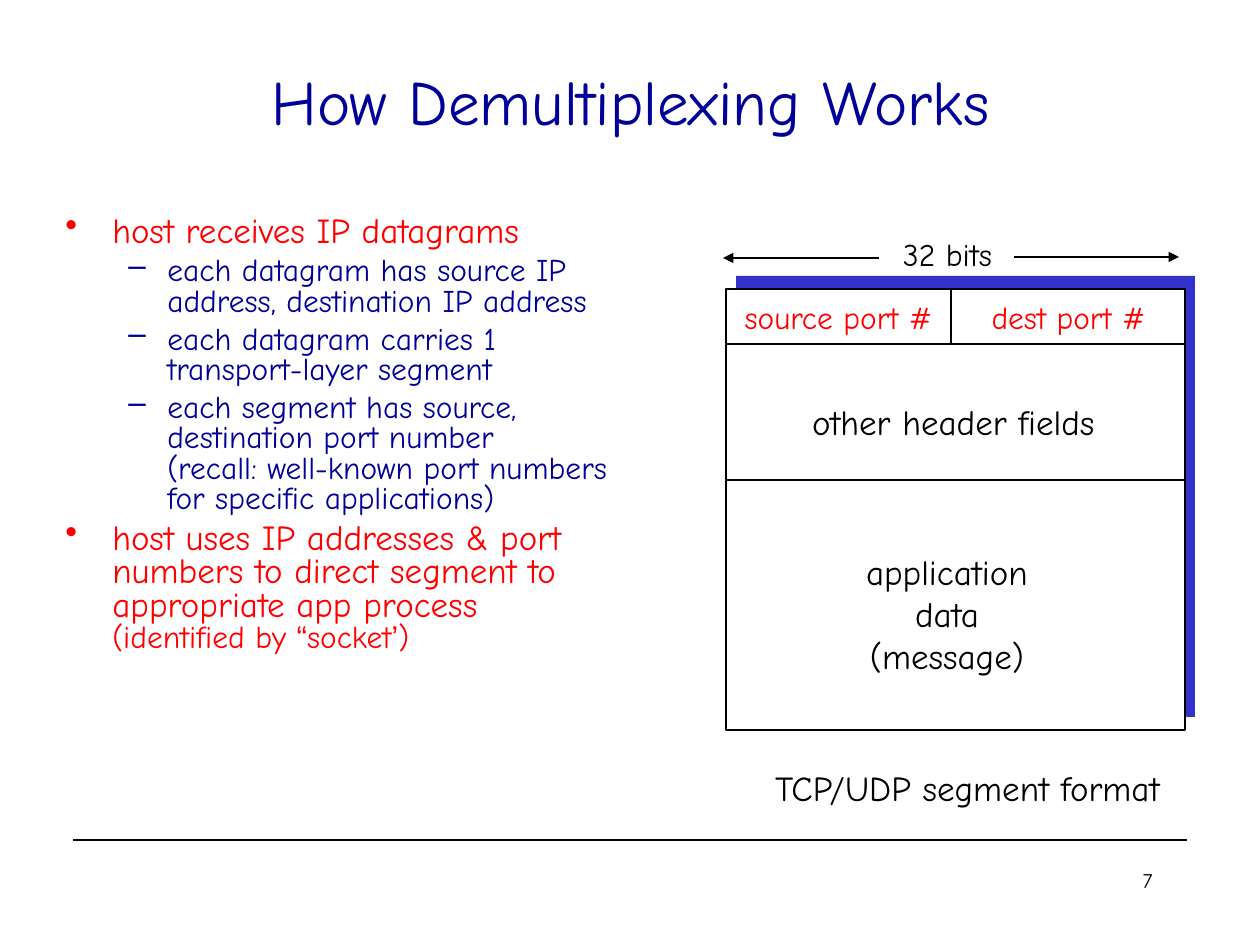
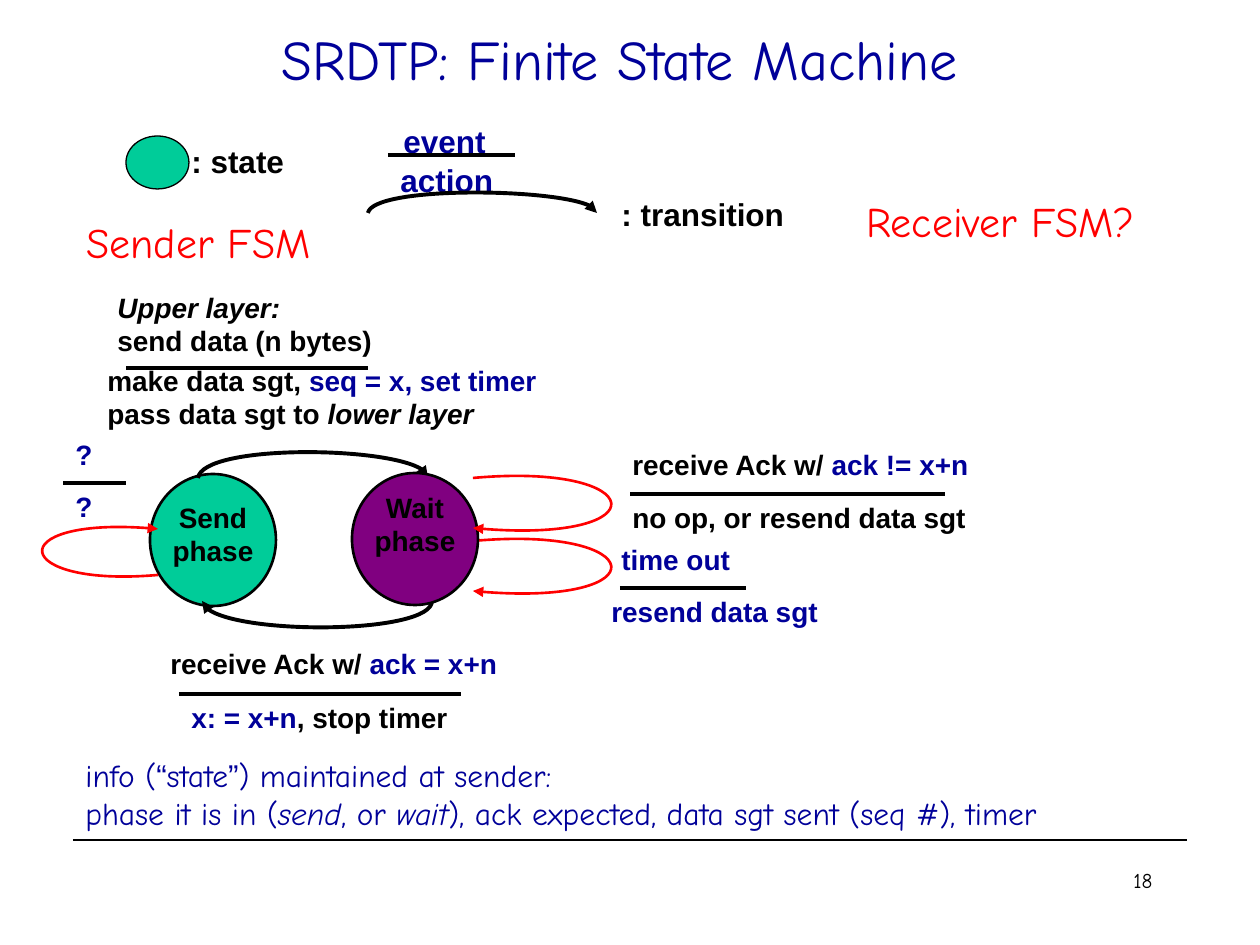
from lxml.etree import SubElement
from pptx import Presentation
from pptx.dml.color import RGBColor
from pptx.enum.shapes import MSO_CONNECTOR as CONN, MSO_SHAPE as SHAPE
from pptx.enum.text import MSO_ANCHOR as ANCHOR, MSO_AUTO_SIZE as FIT, PP_ALIGN as ALIGN
from pptx.oxml.ns import qn
from pptx.util import Emu, Pt

SCALE = 914400 / 126
COLORS = {"black": "000000", "white": "FFFFFF", "navy": "000099", "red": "FF0000",
          "shade": "3333CC", "green": "00CC99", "purple": "800080"}
HAND, SANS = "Comic Neue", "Arial"
PLAIN = {"font": HAND, "size": 18, "color": "black", "bold": False, "italic": False}
BOLD = {"font": SANS, "size": 16, "bold": True}
NAVY, BLACK = {"color": "navy"}, {"color": "black"}
ITALIC, ARIAL = {"italic": True}, {"font": SANS}


def px(n):
    return Emu(round(n * SCALE))


def rgb(name):
    return RGBColor.from_string(COLORS[name])


def write(p, content, style):
    pieces = [(content, {})] if isinstance(content, str) else content
    for text, changes in pieces:
        if text == "\n":
            p.add_line_break()
            continue
        look = {**PLAIN, **style, **changes}
        r = p.add_run()
        r.text = text
        r.font.name = look["font"]
        r.font.size = Pt(look["size"])
        r.font.bold = look["bold"]
        r.font.italic = look["italic"]
        r.font.color.rgb = rgb(look["color"])


def add_text(slide, x, y, w, h, paragraphs, style=PLAIN, align=ALIGN.LEFT, wrap=True,
             anchor=ANCHOR.TOP):
    tf = slide.shapes.add_textbox(px(x), px(y), px(w), px(h)).text_frame
    tf.word_wrap = wrap
    tf.auto_size = FIT.NONE
    tf.vertical_anchor = anchor
    for i, content in enumerate(paragraphs):
        p = tf.add_paragraph() if i else tf.paragraphs[0]
        p.alignment = align
        write(p, content, style)
    return tf


def add_centered(slide, x, y, w, h, paragraphs, **style):
    add_text(slide, x, y, w, h, paragraphs, style, ALIGN.CENTER, wrap=False)


def set_line(shape, color, width, arrow=False):
    shape.line.color.rgb = rgb(color)
    shape.line.width = Pt(width)
    if arrow:
        ln = shape.element.spPr.find(qn("a:ln"))
        SubElement(ln, qn("a:tailEnd"), type="triangle")


def add_line(slide, x1, y1, x2, y2, width=1.5, arrow=False):
    cx = slide.shapes.add_connector(CONN.STRAIGHT, px(x1), px(y1), px(x2), px(y2))
    set_line(cx, "black", width, arrow)
    SubElement(cx.element.spPr, qn("a:effectLst"))


def add_block(slide, kind, x, y, w, h, fill, width=0):
    sp = slide.shapes.add_shape(kind, px(x), px(y), px(w), px(h))
    sp.shadow.inherit = False
    sp.fill.solid()
    sp.fill.fore_color.rgb = rgb(fill)
    if width:
        set_line(sp, "black", width)
    else:
        sp.line.fill.background()


def add_curve(slide, x, y, points, color="black", width=2.25):
    start, *rest = [(x + dx, y + dy) for dx, dy in points]
    builder = slide.shapes.build_freeform(*start, scale=SCALE)
    builder.add_line_segments(rest, close=False)
    sp = builder.convert_to_shape()
    sp.shadow.inherit = False
    sp.fill.background()
    set_line(sp, color, width, arrow=True)
    outline = sp.element.spPr.find(".//" + qn("a:path"))
    segments = outline.findall(qn("a:lnTo"))
    bezier = SubElement(outline, qn("a:cubicBezTo"))
    for segment in segments:
        bezier.append(segment[0])
        outline.remove(segment)


def add_titled_slide(prs, title, box, size, number):
    slide = prs.slides.add_slide(prs.slide_layouts[5])
    sp = slide.shapes.title
    sp.left, sp.top, sp.width, sp.height = map(px, box)
    tf = sp.text_frame
    tf.auto_size = FIT.NONE
    tf.vertical_anchor = ANCHOR.MIDDLE
    tf.paragraphs[0].alignment = ALIGN.CENTER
    write(tf.paragraphs[0], title, {"size": size, "color": "navy"})
    add_line(slide, 73, 840, 1187, 840, 0.75)
    add_text(slide, 903, 861, 262, 63, [number], {"size": 12}, ALIGN.RIGHT)
    return slide


def add_bullets(slide, x, y, w, h):
    items = [
        (0, "host receives IP datagrams"),
        (1, "each datagram has source IP address, destination IP address"),
        (1, "each datagram carries 1 transport-layer segment"),
        (1, [("each segment has source, destination port number ", {}), ("\n", {}),
             ("(recall: well-known port numbers for specific applications)", {})]),
        (0, [("host uses IP addresses & port numbers to direct segment to "
              "appropriate app process ", {}),
             ("(identified by ", {"size": 18}), ("“", {"size": 18, **ARIAL}),
             ("socket", {"size": 18}), ("’", {"size": 18, **ARIAL}), (")", {"size": 18})]),
    ]
    levels = [("•", "red", 20, 47, -47), ("–", "navy", 18, 102, -39)]
    tf = add_text(slide, x, y, w, h, [])
    for i, (level, content) in enumerate(items):
        mark, color, size, margin, indent = levels[level]
        p = tf.add_paragraph() if i else tf.paragraphs[0]
        write(p, content, {"color": color, "size": size})
        p.level = level
        p.line_spacing = 0.8
        p.space_before = Pt(4.5 if i else 5)
        pPr = p._p.get_or_add_pPr()
        pPr.set("marL", str(px(margin)))
        pPr.set("indent", str(px(indent)))
        SubElement(SubElement(pPr, qn("a:buClr")), qn("a:srgbClr"), val=COLORS[color])
        SubElement(pPr, qn("a:buChar"), char=mark)


def add_segment_format(slide, x, y, w, h):
    header, fields, split = y + 55, y + 191, x + 225
    add_block(slide, SHAPE.RECTANGLE, x + 10, y - 13, w, h, "shade")
    add_block(slide, SHAPE.RECTANGLE, x, y, w, h, "white", 1.5)
    for row in (header, fields):
        add_line(slide, x, row, x + w, row)
    add_line(slide, split, header, split, y)
    add_centered(slide, x + 6, y + 3, 213, 50, ["source port #"], color="red")
    add_centered(slide, x + 253, y + 3, 179, 50, ["dest port #"], color="red")
    add_centered(slide, x + 165, y - 60, 113, 50, ["32 bits"])
    add_line(slide, x + 288, y - 32, x + 453, y - 32, arrow=True)
    add_line(slide, x + 153, y - 31, x - 3, y - 31, arrow=True)
    add_centered(slide, x + 74, y + 105, 307, 55, ["other header fields"], size=20)
    add_centered(slide, x + 128, y + 255, 186, 139,
                 ["application", "data", "(message)"], size=20)
    add_centered(slide, x + 34, y + 471, 415, 55, ["TCP/UDP segment format"], size=20)


def add_transition(slide, x, y, w, event, event_at, action, action_at, **style):
    for paragraphs, (dx, dy) in ((event, event_at), (action, action_at)):
        add_text(slide, x + dx, y + dy, 480, 50, paragraphs, {**BOLD, **style})
    add_line(slide, x, y, x + w, y, 2.25)


def add_state(slide, x, y, name, fill, label_y):
    add_block(slide, SHAPE.OVAL, x, y, 126, 132, fill, 1.5)
    add_centered(slide, x - 7, y + label_y, 140, 84, [name, "phase"], **BOLD)


def add_legend(slide, x, y):
    heading = {**BOLD, "size": 18}
    add_block(slide, SHAPE.OVAL, x, y, 63, 53, "green", 0.75)
    add_text(slide, x + 53, y, 226, 55, [": state"], heading)
    add_text(slide, x + 483, y + 53, 199, 55, [": transition"], heading)
    add_transition(slide, x + 262, y + 19, 127, ["event"], (3, -39), ["action"], (0, 0),
                   size=18, color="navy")
    add_curve(slide, x + 242, y + 77, [(0, 0), (5, -27), (229, -25), (229, 0)])


def add_sender_fsm(slide, x, y):
    loop = [(0, 0), (177, -16), (189, 68), (0, 50)]
    add_state(slide, x + 87, y + 190, "Send", "green", 20)
    add_curve(slide, x + 135, y + 194, [(0, 0), (5, -34), (230, -32), (230, 0)])
    add_curve(slide, x + 369, y + 317, [(0, 0), (0, 33), (-225, 35), (-230, 0)])
    add_curve(slide, x + 410, y + 257, loop, "red", 1.5)
    add_state(slide, x + 289, y + 189, "Wait", "purple", 11)
    add_curve(slide, x + 410, y + 194, loop, "red", 1.5)
    add_curve(slide, x + 95, y + 291, [(0, 0), (-148, 13), (-158, -61), (0, -46)], "red", 1.5)
    transitions = [
        (63, 84, 242, [[("Upper layer:", ITALIC)], "send data (n bytes)"], (-21, -84),
         [[("make data sgt, ", {}), ("seq = x, set timer", NAVY)],
          [("pass data sgt to ", {}), ("lower layer", ITALIC)]], (-31, -11)),
        (567, 210, 315, [[("receive Ack w/ ", {}), ("ack != x+n", NAVY)]], (-10, -53),
         ["no op, or resend data sgt"], (-10, 0)),
        (557, 304, 126, [[("time out", NAVY)]], (-11, -52),
         [[("resend data sgt", NAVY)]], (-21, 0)),
        (116, 410, 282, [[("receive Ack w/ ", {}), ("ack = x+n", NAVY)]], (-21, -54),
         [[("x: = x+n", NAVY), (", stop timer", BLACK)]], (0, 0)),
        (0, 199, 63, [[("?", NAVY)]], (0, -52), [[("?", NAVY)]], (0, 0)),
    ]
    for dx, dy, *rest in transitions:
        add_transition(slide, x + dx, y + dy, *rest)


def add_sender_info(slide, x, y, w, h):
    add_text(slide, x, y, w, h, [
        [("info (", {}), ("“", ARIAL), ("state", {}), ("”", ARIAL),
         (") maintained at sender:", {})],
        [("phase it is in (", {}), ("send", ITALIC), (", or ", {}), ("wait", ITALIC),
         ("), ack expected, data sgt sent (seq #), timer", {})],
    ], NAVY, anchor=ANCHOR.MIDDLE)


def main():
    prs = Presentation()
    prs.slide_width, prs.slide_height = px(1260), px(945)

    slide = add_titled_slide(prs, "How Demultiplexing Works", (95, 21, 1071, 158), 36, "7")
    add_bullets(slide, 53, 210, 567, 500)
    add_segment_format(slide, 726, 289, 459, 441)

    slide = add_titled_slide(prs, "SRDTP: Finite State Machine", (84, 0, 1071, 116), 32, "18")
    add_legend(slide, 126, 136)
    add_centered(slide, 74, 210, 249, 63, ["Sender FSM"], size=24, color="red")
    add_centered(slide, 853, 189, 295, 63, ["Receiver FSM?"], size=24, color="red")
    add_sender_fsm(slide, 63, 284)
    add_sender_info(slide, 73, 746, 1134, 95)

    prs.save("out.pptx")


if __name__ == "__main__":
    main()
